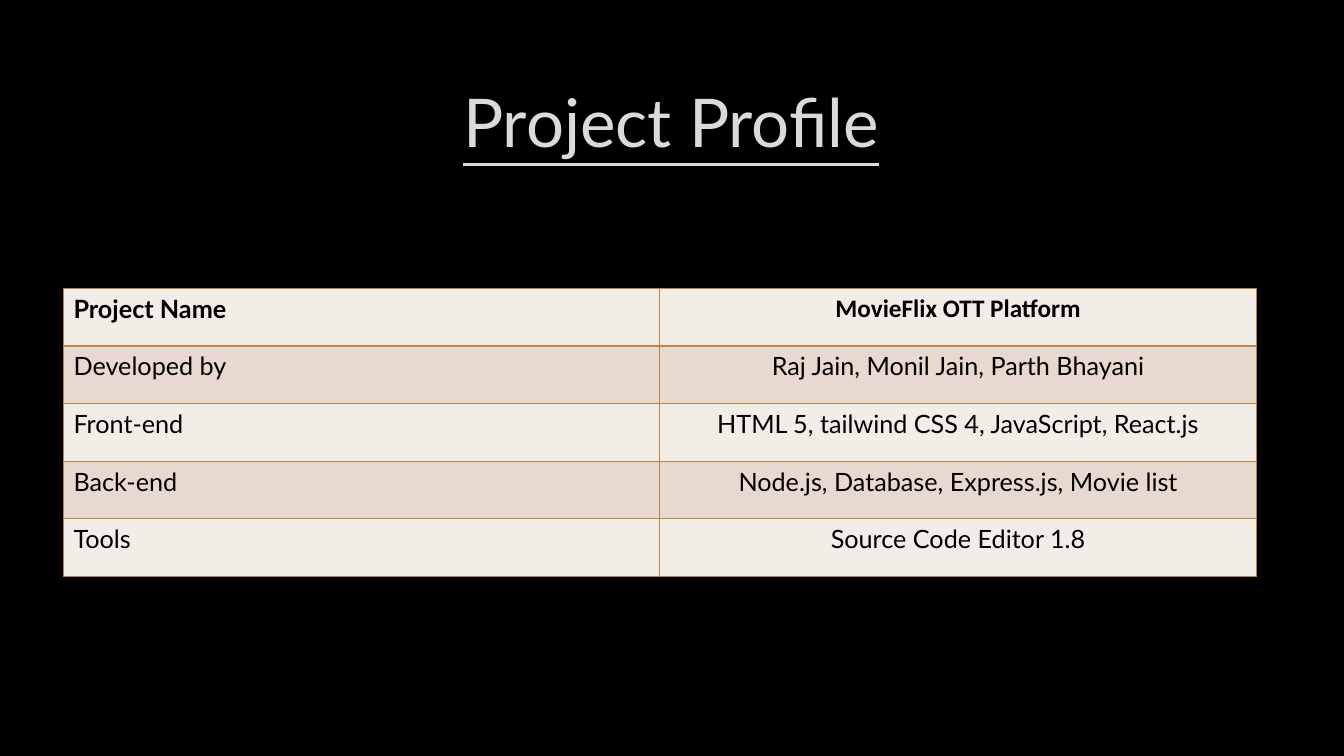
from lxml.etree import SubElement
from pptx import Presentation
from pptx.dml.color import RGBColor
from pptx.enum.text import MSO_ANCHOR, PP_ALIGN
from pptx.oxml.ns import qn
from pptx.util import Cm, Pt

# Content
TITLE = "Project Profile"
PROFILE = [
    ("Project Name", "MovieFlix OTT Platform"),
    ("Developed by", "Raj Jain, Monil Jain, Parth Bhayani"),
    ("Front-end", "HTML 5, tailwind CSS 4, JavaScript, React.js"),
    ("Back-end", "Node.js, Database, Express.js, Movie list"),
    ("Tools", "Source Code Editor 1.8"),
]

# Look
COLORS = {
    "background": "000000",
    "title": "DADADA",
    "text": "000000",
    "light row": "F3EDE8",
    "dark row": "E7D9CF",
    "border": "BB8640",
}
TITLE_FONT = {"name": "Lato", "size": Pt(48), "underline": True}
CELL_FONT = {"name": "Lato", "size": Pt(18), "bold": False}
COLUMN_WIDTH, ROW_HEIGHT = 15.03, 1.45
ALIGNMENTS = (PP_ALIGN.LEFT, PP_ALIGN.CENTER)


def color(name):
    return RGBColor.from_string(COLORS[name])


def write(frame, text, alignment, font, color_name):
    para = frame.paragraphs[0]
    para.alignment = alignment
    span = para.add_run()
    span.text = text
    for name, value in font.items():
        setattr(span.font, name, value)
    span.font.color.rgb = color(color_name)


def add_borders(cell):
    properties = cell._tc.get_or_add_tcPr()
    for side in ("a:lnL", "a:lnR", "a:lnT", "a:lnB"):
        line = SubElement(properties, qn(side), w=str(Pt(1)))
        fill = SubElement(line, qn("a:solidFill"))
        SubElement(fill, qn("a:srgbClr"), val=COLORS["border"])


def main():
    deck = Presentation()
    deck.slide_width, deck.slide_height = Cm(33.87), Cm(19.05)
    page = deck.slides.add_slide(deck.slide_layouts[6])
    page.background.fill.solid()
    page.background.fill.fore_color.rgb = color("background")

    # Title
    box = page.shapes.add_textbox(Cm(2.54), Cm(1.7), Cm(28.75), Cm(2.69))
    box.text_frame.word_wrap = True
    box.text_frame.vertical_anchor = MSO_ANCHOR.MIDDLE
    write(box.text_frame, TITLE, PP_ALIGN.CENTER, TITLE_FONT, "title")

    # Profile table
    rows, columns = len(PROFILE), len(PROFILE[0])
    table = page.shapes.add_table(
        rows, columns, Cm(1.6), Cm(7.27),
        Cm(columns * COLUMN_WIDTH), Cm(rows * ROW_HEIGHT)).table
    for column in table.columns:
        column.width = Cm(COLUMN_WIDTH)
    for row_index, texts in enumerate(PROFILE):
        table.rows[row_index].height = Cm(ROW_HEIGHT)
        for column_index, text in enumerate(texts):
            cell = table.cell(row_index, column_index)
            add_borders(cell)
            cell.fill.solid()
            cell.fill.fore_color.rgb = color("dark row" if row_index % 2 else "light row")
            font = dict(CELL_FONT, bold=row_index == 0)
            if row_index == 0 and column_index == 1:
                font["name"] = "Calibri"
            write(cell.text_frame, text, ALIGNMENTS[column_index], font, "text")

    deck.save("out.pptx")


if __name__ == "__main__":
    main()
